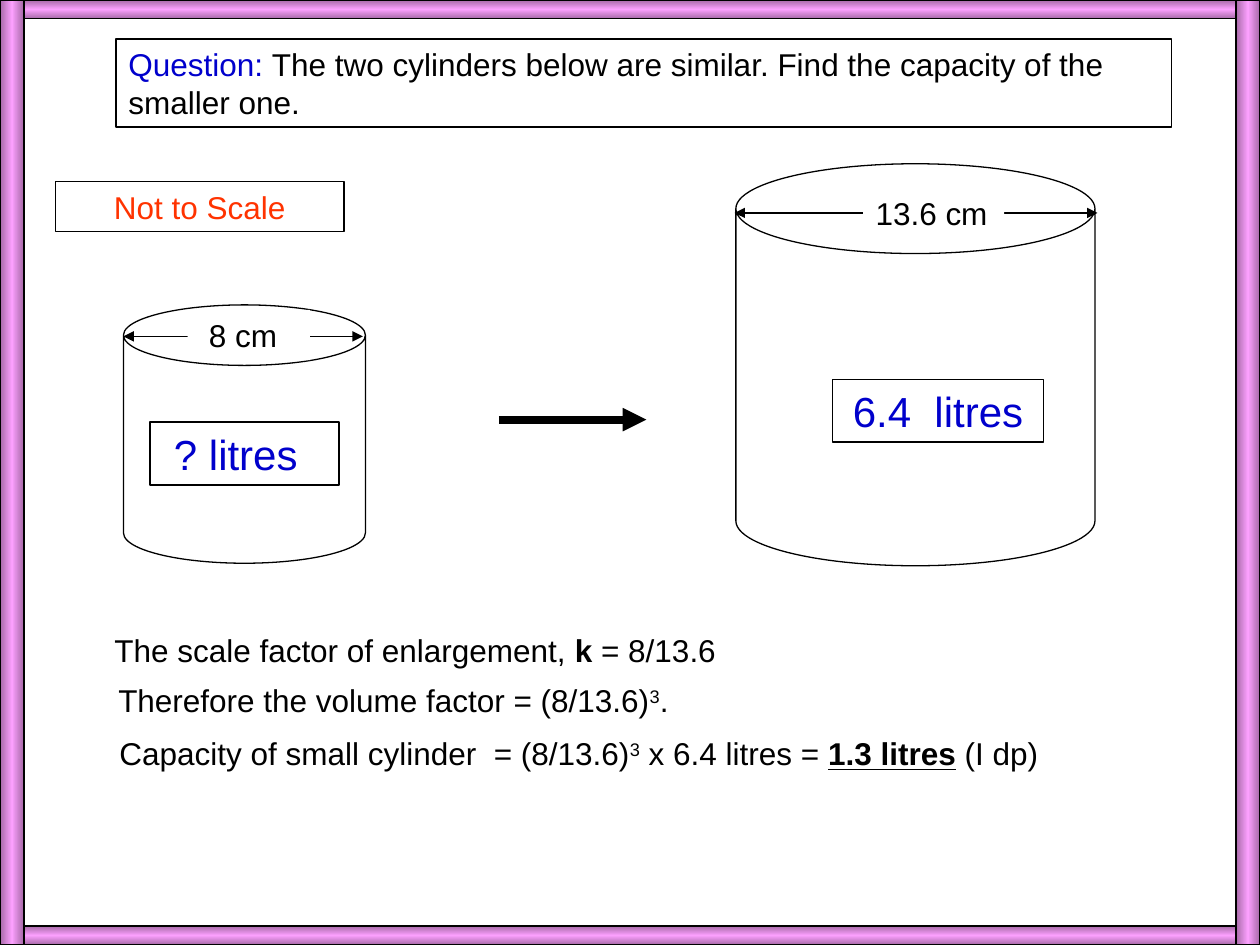
from dataclasses import dataclass
from pptx import Presentation
from pptx import util as u
from pptx.dml import color
from pptx.enum import shapes, text
from pptx.oxml import ns, xmlchemy
from copy import deepcopy

COLS, ROWS = 100, 75
WIDE, HIGH = u.Inches(10), u.Inches(7.5)
BLACK, WHITE, BLUE, RED = "000000", "FFFFFF", "0000CC", "FF3300"
DARK, LIGHT = "A669A7", "FCA0FE"
KIND = shapes.MSO_SHAPE


@dataclass
class Run:
    words: str
    hue: str = BLACK
    bold: bool = False
    under: bool = False
    raised: bool = False


@dataclass
class Area:
    col: float
    row: float
    cols: float
    rows: float


@dataclass
class Box:
    area: Area
    runs: list[Run]
    size: int = 18
    fill: str | None = None
    edge: str | None = None
    mid: bool = False


@dataclass
class Span:
    start: float
    end: float
    row: float
    width: float = 0.75
    both: bool = True


def rgb(code: str) -> color.RGBColor:
    return color.RGBColor.from_string(code)


def x(cols: float) -> int:
    return int(WIDE * cols / COLS)


def y(rows: float) -> int:
    return int(HIGH * rows / ROWS)


def draw_shape(slide, area: Area, kind=KIND.RECTANGLE, fill=None, edge=None):
    shape = slide.shapes.add_shape(
        kind, x(area.col), y(area.row), x(area.cols), y(area.rows))
    shape.shadow.inherit = False
    if fill:
        shape.fill.solid()
        shape.fill.fore_color.rgb = rgb(fill)
    else:
        shape.fill.background()
    if edge:
        shape.line.color.rgb = rgb(edge)
        shape.line.width = u.Pt(0.75)
    else:
        shape.line.fill.background()
    return shape


def draw_box(slide, box: Box) -> None:
    if box.fill or box.edge:
        shape = draw_shape(slide, box.area, fill=box.fill, edge=box.edge)
    else:
        area = box.area
        shape = slide.shapes.add_textbox(
            x(area.col), y(area.row), x(area.cols), y(area.rows))
    frame = shape.text_frame
    frame.word_wrap = True
    frame.auto_size = text.MSO_AUTO_SIZE.SHAPE_TO_FIT_TEXT
    frame.vertical_anchor = text.MSO_ANCHOR.TOP
    para = frame.paragraphs[0]
    para.alignment = text.PP_ALIGN.CENTER if box.mid else text.PP_ALIGN.LEFT
    for item in box.runs:
        run = para.add_run()
        run.text = item.words
        font = run.font
        font.name, font.size = "Arial", u.Pt(box.size)
        font.color.rgb = rgb(item.hue)
        font.bold, font.underline = item.bold, item.under
        if item.raised:
            run._r.get_or_add_rPr().set("baseline", "30000")


def draw_span(slide, span: Span) -> None:
    line = slide.shapes.add_connector(
        shapes.MSO_CONNECTOR.STRAIGHT,
        x(span.start), y(span.row), x(span.end), y(span.row))
    line.line.color.rgb = rgb(BLACK)
    line.line.width = u.Pt(span.width)
    ends = ("a:headEnd", "a:tailEnd") if span.both else ("a:tailEnd",)
    for tag in ends:
        tip = xmlchemy.OxmlElement(tag)
        tip.set("type", "triangle")
        line.line._get_or_add_ln().append(tip)
    line._element.spPr.append(xmlchemy.OxmlElement("a:effectLst"))


def draw_bar(slide, area: Area, angle: int) -> None:
    shape = draw_shape(slide, area, edge=BLACK)
    shape.fill.gradient()
    shape.fill.gradient_angle = angle
    first = next(shape._element.iter(ns.qn("a:gs")))
    first.addnext(deepcopy(first))
    stops = shape.fill.gradient_stops
    for stop, hue, place in zip(stops, (DARK, LIGHT, DARK), (0, 0.5, 1)):
        stop.color.rgb = rgb(hue)
        stop.position = place


CANS = [Area(9.8, 24.2, 19.2, 20.5), Area(58.4, 13, 28.5, 31.9)]
SPANS = [
    Span(9.8, 28.8, 26.7),
    Span(58.3, 87.1, 16.9),
    Span(39.6, 51.3, 33.3, 4.5, False),
]
BOXES = [
    Box(Area(9.2, 3.1, 83.8, 7), [
        Run("Question: ", BLUE),
        Run("The two cylinders below are similar. "
            "Find the capacity of the smaller one."),
    ], edge=BLACK),
    Box(Area(4.4, 14.4, 22.9, 4), [Run("Not to Scale", RED)],
        edge=BLACK, mid=True),
    Box(Area(11.9, 33.5, 15, 5), [Run(" ? litres", BLUE)], 24, edge=BLACK),
    Box(Area(66.1, 30.1, 16.7, 5), [Run("6.4  litres", BLUE)], 24,
        edge=BLACK, mid=True),
    Box(Area(14.9, 24.6, 9.7, 4), [Run(" 8 cm")], fill=WHITE),
    Box(Area(68.5, 14.9, 11.2, 4), [Run("13.6 cm")], fill=WHITE),
    Box(Area(8.1, 49.6, 65.4, 4), [
        Run("The scale factor of enlargement, "),
        Run("k", bold=True),
        Run(" = 8/13.6"),
    ]),
    Box(Area(8.4, 53.6, 51.2, 4), [
        Run("Therefore the volume factor = (8/13.6)"),
        Run("3", raised=True),
        Run("."),
    ]),
    Box(Area(8.5, 57.8, 76.4, 4), [
        Run("Capacity of small cylinder  = (8/13.6)"),
        Run("3", raised=True),
        Run(" x 6.4 litres = "),
        Run("1.3 litres", bold=True, under=True),
        Run(" (I dp)"),
    ]),
]
THIN, THICK = 1.5, 1.9


def main() -> None:
    deck = Presentation()
    deck.slide_width, deck.slide_height = WIDE, HIGH
    slide = deck.slides.add_slide(deck.slide_layouts[6])
    for can in CANS:
        draw_shape(slide, can, KIND.CAN, WHITE, BLACK)
    for span in SPANS:
        draw_span(slide, span)
    for box in BOXES:
        draw_box(slide, box)
    for row in (0, ROWS - THIN):
        draw_bar(slide, Area(0, row, COLS, THIN), 270)
    for col in (0, COLS - THICK):
        draw_bar(slide, Area(col, 0, THICK, ROWS), 180)
    deck.save("out.pptx")


if __name__ == "__main__":
    main()
